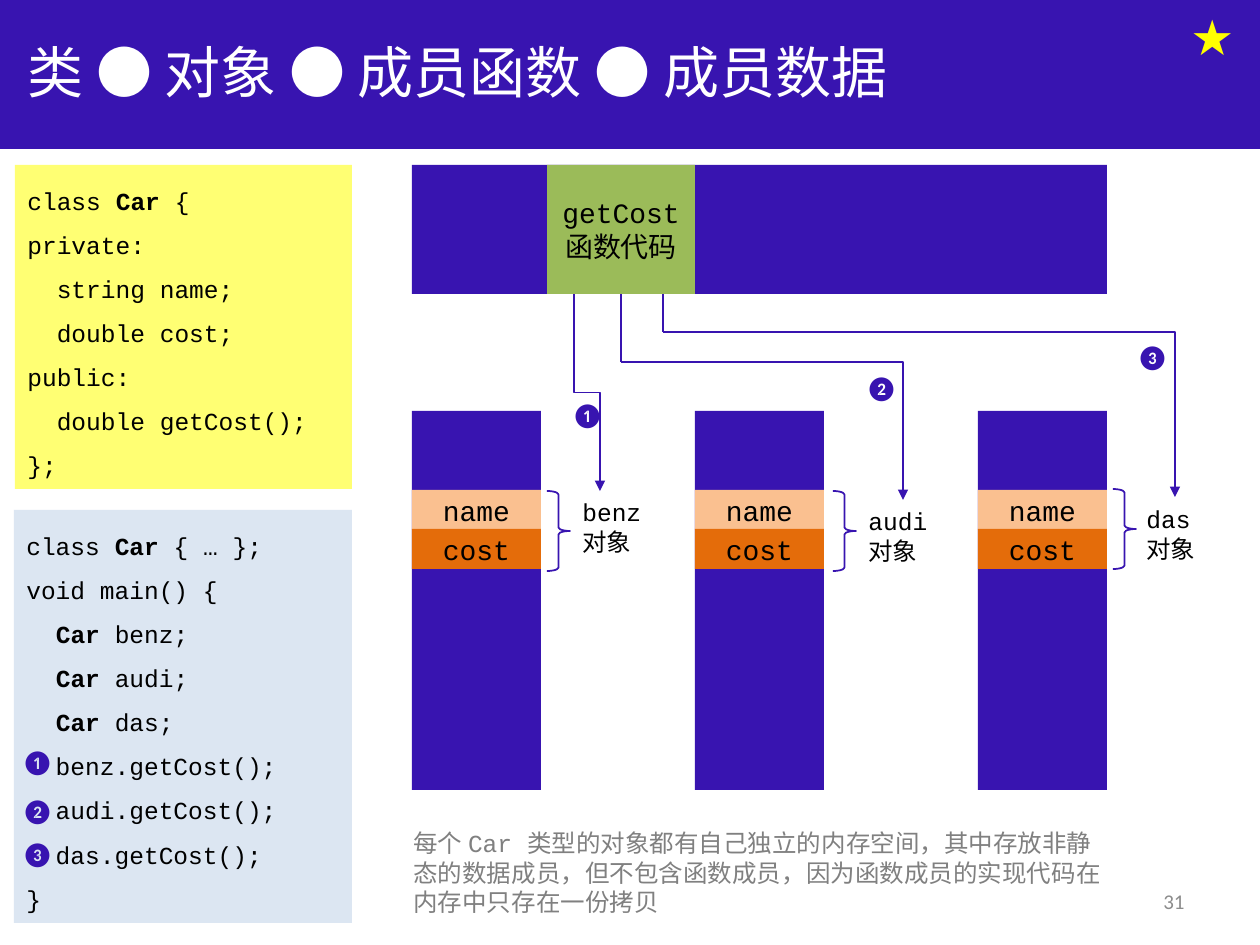
from lxml.etree import SubElement
from pptx import Presentation
from pptx.dml.color import RGBColor
from pptx.enum.shapes import MSO_CONNECTOR, MSO_SHAPE
from pptx.enum.text import MSO_ANCHOR, MSO_AUTO_SIZE, PP_ALIGN
from pptx.oxml.ns import qn
from pptx.util import Emu, Pt

PX = 914400 / 126
CODE_FONT = "Courier New"
TEXT_FONT = "Calibri"
INDIGO = RGBColor(0x38, 0x14, 0xB0)
WHITE = RGBColor(0xFF, 0xFF, 0xFF)
BLACK = RGBColor(0, 0, 0)
STAR_YELLOW = RGBColor(0xFF, 0xFF, 0)
CLASS_YELLOW = RGBColor(0xFF, 0xFF, 0x73)
MAIN_BLUE = RGBColor(0xDC, 0xE6, 0xF2)
PEACH = RGBColor(0xFA, 0xC0, 0x90)
ORANGE = RGBColor(0xE4, 0x6C, 0x0A)
GREEN = RGBColor(0x9B, 0xBB, 0x59)
GRAY = RGBColor(0x80, 0x80, 0x80)
PAGE_GRAY = RGBColor(0x8C, 0x8C, 0x8C)

CLASS_CODE = """class Car {
private:
  string name;
  double cost;
public:
  double getCost();
};"""
MAIN_CODE = """class Car { … };
void main() {
  Car benz;
  Car audi;
  Car das;
  benz.getCost();
  audi.getCost();
  das.getCost();
}"""
CAPTION = """每个 Car 类型的对象都有自己独立的内存空间，其中存放非静
态的数据成员，但不包含函数成员，因为函数成员的实现代码在
内存中只存在一份拷贝"""


def px(*lengths):
    return [Emu(round(length * PX)) for length in lengths]


def format_text(text_frame, size, color, font, align=PP_ALIGN.LEFT):
    for paragraph in text_frame.paragraphs:
        paragraph.alignment = align
        for run in paragraph.runs:
            run.font.size = Pt(size)
            run.font.color.rgb = color
            run.font.name = font


def add_box(slide, bounds, fill, text=""):
    box = slide.shapes.add_shape(MSO_SHAPE.RECTANGLE, *px(*bounds))
    box.shadow.inherit = False
    box.fill.solid()
    box.fill.fore_color.rgb = fill
    box.line.fill.background()
    if text:
        box.text_frame.text = text
        box.text_frame.vertical_anchor = MSO_ANCHOR.MIDDLE
        format_text(box.text_frame, 16, BLACK, CODE_FONT, PP_ALIGN.CENTER)
    return box


def add_code(slide, bounds, fill, code):
    text_frame = add_box(slide, bounds, fill).text_frame
    text_frame.word_wrap = True
    text_frame.vertical_anchor = MSO_ANCHOR.TOP
    for index, line in enumerate(code.splitlines()):
        paragraph = text_frame.add_paragraph() if index else text_frame.paragraphs[0]
        paragraph.line_spacing = 1.5
        for part in filter(None, line.partition("Car")):
            run = paragraph.add_run()
            run.text = part
            run.font.bold = part == "Car"
    format_text(text_frame, 14, BLACK, CODE_FONT)


def add_text(slide, bounds, text, size, color, font):
    text_frame = slide.shapes.add_textbox(*px(*bounds)).text_frame
    text_frame.text = text
    text_frame.word_wrap = False
    text_frame.auto_size = MSO_AUTO_SIZE.SHAPE_TO_FIT_TEXT
    format_text(text_frame, size, color, font)
    return text_frame


def add_brace(slide, left, top):
    brace = slide.shapes.add_shape(MSO_SHAPE.RIGHT_BRACE, *px(left, top, 23, 80))
    brace.shadow.inherit = False
    brace.fill.background()
    brace.line.color.rgb = INDIGO
    brace.line.width = Pt(1)
    brace.adjustments[0] = 0.15


def add_line(slide, start, end, kind=MSO_CONNECTOR.STRAIGHT, arrow=False):
    connector = slide.shapes.add_connector(kind, *px(*start, *end))
    connector.line.color.rgb = INDIGO
    connector.line.width = Pt(1)
    properties = connector._element.spPr
    if arrow:
        SubElement(properties.find(qn("a:ln")), qn("a:tailEnd"), type="triangle")
    SubElement(properties, qn("a:effectLst"))
    return connector


def add_step_arrow(slide, start, end):
    center_x, center_y = (start[0] + end[0]) / 2, (start[1] + end[1]) / 2
    half_run, half_drop = (end[0] - start[0]) / 2, (end[1] - start[1]) / 2
    connector = add_line(slide, (center_x + half_drop, center_y - half_run),
                         (center_x - half_drop, center_y + half_run),
                         MSO_CONNECTOR.ELBOW, arrow=True)
    connector._element.spPr.find(qn("a:xfrm")).set("rot", "16200000")


def add_corner_arrow(slide, start, end):
    connector = add_line(slide, start, end, MSO_CONNECTOR.ELBOW, arrow=True)
    connector._element.spPr.find(qn("a:prstGeom")).set("prst", "bentConnector2")


def add_header(slide):
    title = slide.shapes.title
    title.left, title.top, title.width, title.height = px(15, 8, 1134, 127)
    title.text_frame.text = "类 ● 对象 ● 成员函数 ● 成员数据"
    title.text_frame.vertical_anchor = MSO_ANCHOR.MIDDLE
    format_text(title.text_frame, 32, WHITE, TEXT_FONT)
    band = add_box(slide, (0, 0, 1260, 149), INDIGO)
    title._element.addprevious(band._element)
    add_text(slide, (1178, 0, 69, 72), "★", 28, STAR_YELLOW, TEXT_FONT)


def add_memory(slide):
    objects = [("benz", 547, 491, 570, 491, 94),
               ("audi", 833, 491, 856, 500, 94),
               ("das", 1113, 489, 1134, 498, 81)]
    for index, (name, brace_left, brace_top, left, top, width) in enumerate(objects):
        column = 412 + 283 * index
        add_box(slide, (column, 411, 129, 379), INDIGO)
        add_box(slide, (column, 490, 129, 40), PEACH, "name")
        add_box(slide, (column, 529, 129, 40), ORANGE, "cost")
        add_brace(slide, brace_left, brace_top)
        add_text(slide, (left, top, width, 72), f"{name}\n对象", 14, BLACK, CODE_FONT)


def add_calls(slide):
    add_box(slide, (412, 165, 695, 129), INDIGO)
    function_box = add_box(slide, (547, 165, 148, 129), GREEN, "getCost\n函数代码")
    add_step_arrow(slide, (574, 294), (600, 491))
    stem = add_line(slide, (621, 294), (621, 362))
    stem.begin_connect(function_box, 2)
    add_corner_arrow(slide, (621, 362), (903, 500))
    add_line(slide, (663, 294), (663, 332))
    add_corner_arrow(slide, (663, 332), (1175, 497))


def add_numbers(slide):
    markers = [("❶", (9, 741), (559, 394)),
               ("❷", (9, 790), (853, 367)),
               ("❸", (9, 833), (1124, 336))]
    for number, *positions in markers:
        for position in positions:
            add_text(slide, (*position, 50, 42), number, 14, INDIGO, TEXT_FONT)


def main():
    presentation = Presentation()
    presentation.slide_width, presentation.slide_height = px(1260, 945)
    slide = presentation.slides.add_slide(presentation.slide_layouts[5])
    add_header(slide)
    add_code(slide, (15, 165, 337, 324), CLASS_YELLOW, CLASS_CODE)
    add_code(slide, (14, 510, 338, 413), MAIN_BLUE, MAIN_CODE)
    add_memory(slide)
    add_calls(slide)
    add_numbers(slide)
    add_text(slide, (401, 822, 718, 102), CAPTION, 14, GRAY, CODE_FONT)
    page = add_text(slide, (903, 876, 294, 50), "31", 12, PAGE_GRAY, TEXT_FONT)
    page.word_wrap = True
    page.auto_size = MSO_AUTO_SIZE.NONE
    page.vertical_anchor = MSO_ANCHOR.MIDDLE
    page.paragraphs[0].alignment = PP_ALIGN.RIGHT
    presentation.save("out.pptx")


if __name__ == "__main__":
    main()
